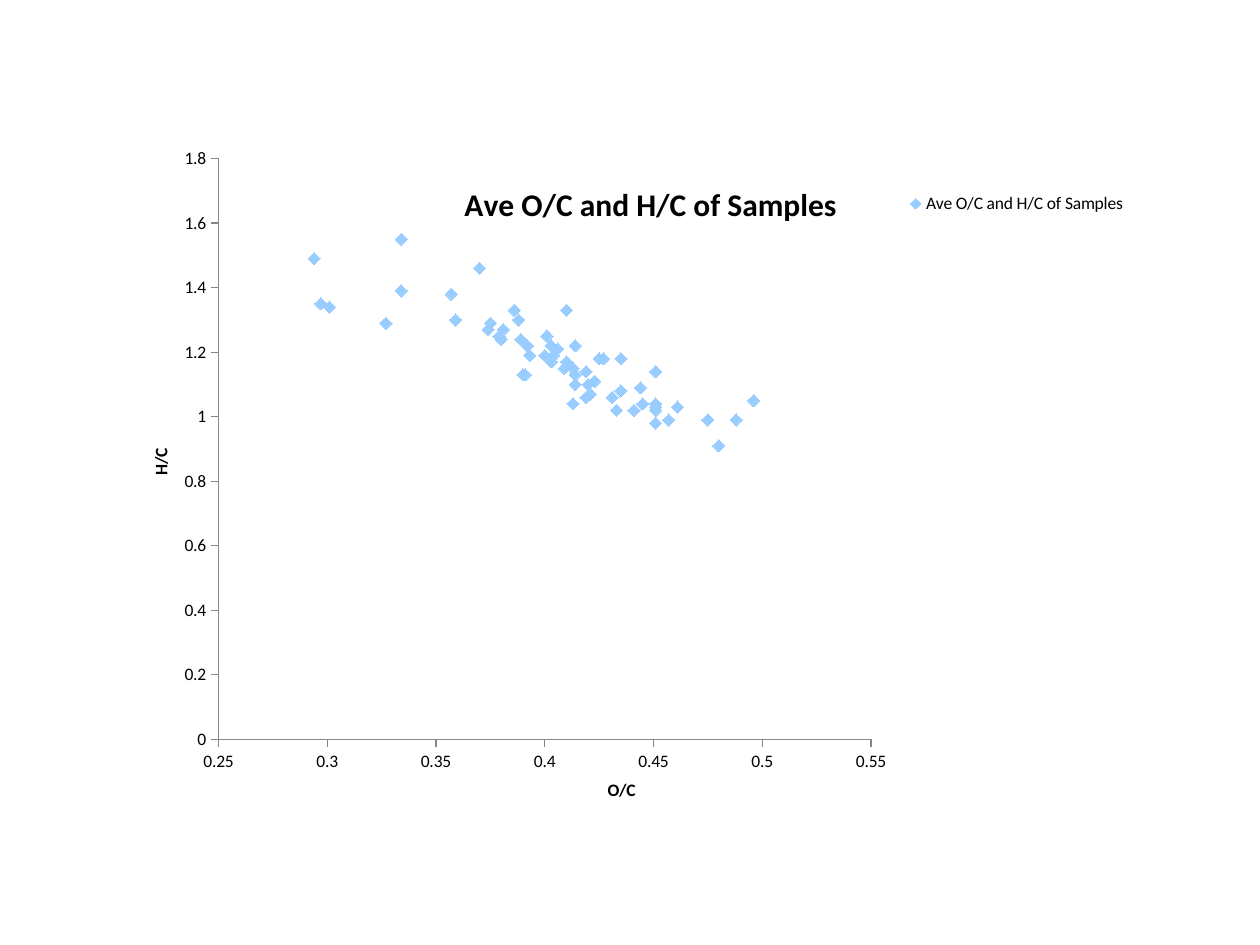
from lxml.etree import SubElement
from pptx import Presentation
from pptx.chart.data import XyChartData
from pptx.dml.color import RGBColor
from pptx.enum.chart import XL_CHART_TYPE, XL_LEGEND_POSITION, XL_MARKER_STYLE, XL_TICK_MARK
from pptx.oxml.ns import qn
from pptx.util import Inches, Pt

COLORS = {"text": "000000", "axis": "868686", "marker": "99CCFF"}
FONT = "Calibri"
TITLE = "Ave O/C and H/C of Samples"

# Sample ratios as (O/C, H/C)
SAMPLES = [
    (0.427, 1.18), (0.421, 1.07), (0.393, 1.19), (0.48, 0.91), (0.435, 1.08), (0.403, 1.17),
    (0.327, 1.29), (0.297, 1.35), (0.301, 1.34), (0.294, 1.49), (0.445, 1.04), (0.451, 1.04),
    (0.381, 1.27), (0.488, 0.99), (0.475, 0.99), (0.425, 1.18), (0.4, 1.19), (0.406, 1.21),
    (0.414, 1.22), (0.334, 1.55), (0.388, 1.3), (0.461, 1.03), (0.451, 1.03), (0.496, 1.05),
    (0.435, 1.18), (0.409, 1.15), (0.374, 1.27), (0.386, 1.33), (0.451, 1.14), (0.41, 1.33),
    (0.413, 1.04), (0.441, 1.02), (0.451, 0.98), (0.457, 0.99), (0.431, 1.06), (0.419, 1.14),
    (0.41, 1.17), (0.413, 1.15), (0.39, 1.13), (0.392, 1.22), (0.404, 1.19), (0.451, 1.02),
    (0.375, 1.29), (0.444, 1.09), (0.42, 1.1), (0.389, 1.24), (0.38, 1.24), (0.403, 1.22),
    (0.414, 1.13), (0.357, 1.38), (0.334, 1.39), (0.419, 1.06), (0.414, 1.1), (0.433, 1.02),
    (0.401, 1.25), (0.423, 1.11), (0.391, 1.13), (0.379, 1.25), (0.359, 1.3), (0.37, 1.46),
]


def color(name):
    return RGBColor.from_string(COLORS[name])


def style_font(font, size=10, bold=False):
    font.name, font.size, font.bold = FONT, Pt(size), bold
    font.color.rgb = color("text")


def write_text(text_frame, text, **style):
    run = text_frame.paragraphs[0].add_run()
    run.text = text
    style_font(run.font, **style)


def set_layout(element, after, inner=False, **shares):
    """Place a chart part by shares (x, y, w, h) of the chart's size."""
    for old in element.findall(qn("c:layout")):
        element.remove(old)
    layout = SubElement(element, qn("c:layout"))
    manual = SubElement(layout, qn("c:manualLayout"))
    if inner:
        SubElement(manual, qn("c:layoutTarget")).set("val", "inner")
    for key in ("x", "y"):
        SubElement(manual, qn(f"c:{key}Mode")).set("val", "edge")
    for key, share in shares.items():
        SubElement(manual, qn(f"c:{key}")).set("val", str(share))
    previous = element.find(qn(after)) if after else None
    if previous is None:
        element.insert(0, layout)
    else:
        previous.addnext(layout)


class ChartSlide:
    def __init__(self, presentation):
        self.presentation = presentation
        self.slide = presentation.slides.add_slide(presentation.slide_layouts[6])

    def scatter(self, name, points, left, top, width, height):
        data = XyChartData()
        series = data.add_series(name)
        for x, y in points:
            series.add_data_point(x, y)
        across, down = self.presentation.slide_width, self.presentation.slide_height
        frame = self.slide.shapes.add_chart(
            XL_CHART_TYPE.XY_SCATTER, int(left * across), int(top * down),
            int(width * across), int(height * down), data)
        chart = frame.chart
        style_font(chart.font)
        plot = chart.plots[0]
        plot.vary_by_categories = False
        series = plot.series[0]
        series.smooth = False
        series.format.line.fill.background()
        series.marker.style, series.marker.size = XL_MARKER_STYLE.DIAMOND, 7
        series.marker.format.fill.solid()
        series.marker.format.fill.fore_color.rgb = color("marker")
        series.marker.format.line.fill.background()
        return chart

    def title(self, owner, text, x, y, **style):
        title = owner.chart_title if hasattr(owner, "chart_title") else owner.axis_title
        write_text(title.text_frame, text, bold=True, **style)
        set_layout(title._element, "c:tx", x=x, y=y)

    def axis(self, axis, text, x, y, low, high, step):
        axis.minimum_scale, axis.maximum_scale, axis.major_unit = low, high, step
        axis.has_major_gridlines = False
        axis.major_tick_mark, axis.minor_tick_mark = XL_TICK_MARK.OUTSIDE, XL_TICK_MARK.NONE
        axis.tick_labels.number_format = "General"
        axis.tick_labels.number_format_is_linked = False
        axis.format.line.color.rgb = color("axis")
        axis.format.line.width = Pt(0.75)
        style_font(axis.tick_labels.font)
        self.title(axis, text, x, y)

    def legend(self, chart, **shares):
        chart.has_legend = True
        chart.legend.position = XL_LEGEND_POSITION.RIGHT
        chart.legend.include_in_layout = False
        style_font(chart.legend.font)
        set_layout(chart.legend._element, "c:legendPos", **shares)


presentation = Presentation()
presentation.slide_width, presentation.slide_height = Inches(10), Inches(7.5)
page = ChartSlide(presentation)

# Scatter chart with its title, axes and legend
chart = page.scatter(TITLE, SAMPLES, 0.108, 0.156, 0.808, 0.7)
page.title(chart, TITLE, 0.317, 0.045, size=18)
page.axis(chart.category_axis, "O/C", 0.46, 0.95, 0.25, 0.55, 0.05)
page.axis(chart.value_axis, "H/C", 0.01, 0.45, 0, 1.8, 0.2)
page.legend(chart, x=0.75, y=0.06, w=0.23, h=0.05)
plot_area = chart._chartSpace.chart.plotArea
set_layout(plot_area, None, inner=True, x=0.081, y=0.017, w=0.641, h=0.878)

presentation.save("out.pptx")
